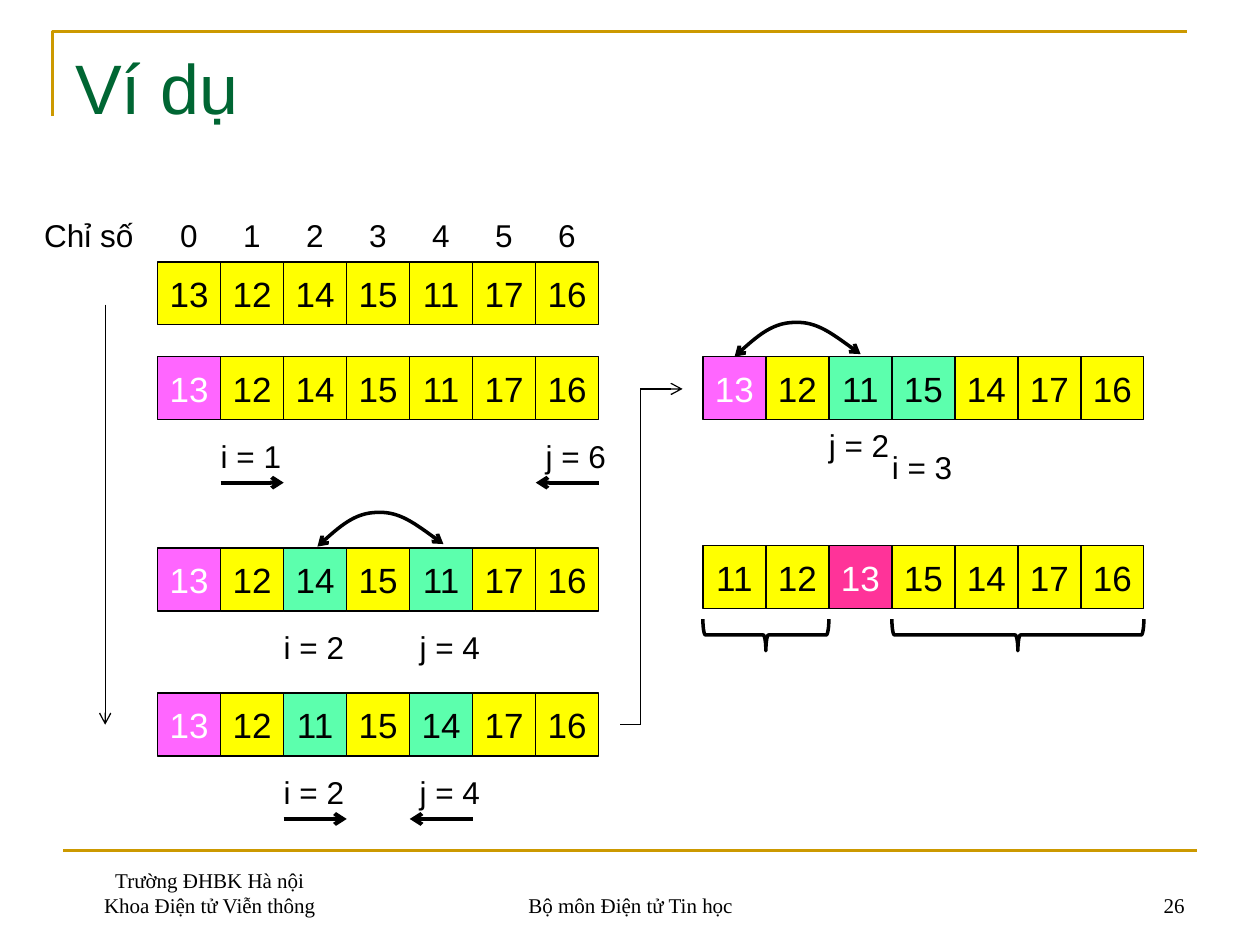
from lxml.etree import SubElement
from pptx import Presentation
from pptx.dml.color import RGBColor
from pptx.enum.shapes import MSO_CONNECTOR as Conn, MSO_SHAPE as Kind
from pptx.enum.text import MSO_ANCHOR as Anchor, PP_ALIGN as Align
from pptx.oxml.ns import qn
from pptx.util import Cm, Pt

HEX = {"black": "000000", "white": "FFFFFF", "gold": "CC9900", "green": "006633",
       "yellow": "FFFF00", "pink": "FF66FF", "mint": "5CFFAD", "rose": "FF3399"}
CELL = 1.27
LEFT, RIGHT = 3.18, 14.17


def rgb(name):
    return RGBColor.from_string(HEX[name])


def style(frame, size, color="black", font="Arial", align=Align.LEFT):
    for para in frame.paragraphs:
        para.alignment = align
        for run in para.runs:
            run.font.size = Pt(size)
            run.font.name = font
            run.font.color.rgb = rgb(color)


def write(slide, text, x, y, w, h=1.02, size=18, inset=0.25, anchor=Anchor.TOP, **look):
    frame = slide.shapes.add_textbox(Cm(x), Cm(y), Cm(w), Cm(h)).text_frame
    frame.word_wrap = True
    frame.margin_left = frame.margin_right = Cm(inset)
    frame.vertical_anchor = anchor
    frame.text = text
    style(frame, size, **look)


def ink(shape, width, color="black", ends=()):
    """Set the line; ends may hold headEnd and tailEnd."""
    shape.line.color.rgb = rgb(color)
    shape.line.width = Pt(width)
    for end in ends:
        SubElement(shape.line._get_or_add_ln(), qn(f"a:{end}"), type="arrow")


def rule(slide, start, stop, width=0.75, color="black", ends=()):
    line = slide.shapes.add_connector(Conn.STRAIGHT, *map(Cm, start + stop))
    ink(line, width, color, ends)
    SubElement(line._element.spPr, qn("a:effectLst"))


def trace(slide, points):
    """Open outline through the points."""
    first, *rest = [(Cm(x), Cm(y)) for x, y in points]
    pen = slide.shapes.build_freeform(*first)
    pen.add_line_segments(rest, close=False)
    shape = pen.convert_to_shape()
    shape.fill.background()
    shape.shadow.inherit = False
    return shape


def swap(slide, x, y):
    """Double-headed arc from one cell to another."""
    steps = [(0, 0), (0.38, -0.36), (0.79, -0.69), (1.22, -0.69),
             (1.65, -0.71), (2.08, -0.38), (2.54, -0.05)]
    arc = trace(slide, [(x + dx, y + dy) for dx, dy in steps])
    # Each three line segments become one Bezier segment
    track = arc._element.spPr.find(".//" + qn("a:path"))
    lines = track.findall(qn("a:lnTo"))
    for k in range(0, len(lines), 3):
        curve = SubElement(track, qn("a:cubicBezTo"))
        for line in lines[k:k + 3]:
            curve.append(line[0])
            track.remove(line)
    ink(arc, 2, ends=("headEnd", "tailEnd"))


def brace(slide, x, y, cells):
    """Brace below a run of cells, pointing down."""
    thick, span = 0.64, cells * CELL
    shape = slide.shapes.add_shape(
        Kind.LEFT_BRACE, Cm(x + (span - thick) / 2), Cm(y + (thick - span) / 2),
        Cm(thick), Cm(span))
    shape.rotation = 270
    shape.fill.background()
    shape.shadow.inherit = False
    ink(shape, 2)


def row(slide, x, y, values, fills=None, notes=(), moves=()):
    """Array cells, index notes (text, dx, dy) and moves (from cell, to cell)."""
    for k, value in enumerate(values):
        fill = (fills or {}).get(k, "yellow")
        cell = slide.shapes.add_shape(Kind.RECTANGLE, Cm(x + k * CELL), Cm(y),
                                      Cm(CELL), Cm(CELL))
        cell.fill.solid()
        cell.fill.fore_color.rgb = rgb(fill)
        cell.shadow.inherit = False
        ink(cell, 0.75)
        frame = cell.text_frame
        frame.word_wrap = False
        frame.vertical_anchor = Anchor.MIDDLE
        frame.text = str(value)
        style(frame, 20, "white" if fill in ("pink", "rose") else "black",
              align=Align.CENTER)
    for text, dx, dy in notes:
        write(slide, text, x + dx, y + dy, 1.7, inset=0)
    for a, b in moves:
        rule(slide, (x + a * CELL, y + 2.54), (x + b * CELL, y + 2.54), 2.25,
             ends=("tailEnd",))


def header(slide, x, y):
    ink(trace(slide, [(x, y + 1.7), (x, y), (x + 22.86, y)]), 1.5, "gold")
    title = slide.shapes.title
    title.left, title.top, title.width, title.height = map(
        Cm, (x + 0.2, y + 0.13, 22.86, 3.18))
    title.text_frame.text = "Ví dụ"
    title.text_frame.vertical_anchor = Anchor.TOP
    style(title.text_frame, 40, "green")


def footer(slide, x, y):
    rule(slide, (x, y), (x + 22.86, y), 1.5, "gold")
    for text, dx, w, align in (
            ("Trường ĐHBK Hà nội\nKhoa Điện tử Viễn thông", 0, 5.92, Align.CENTER),
            ("Bộ môn Điện tử Tin học", 7.42, 8.05, Align.CENTER),
            ("26", 16.94, 5.92, Align.RIGHT)):
        write(slide, text, x + dx, y + 0.21, w, 1.27, 12, anchor=Anchor.BOTTOM,
              font="Times New Roman", align=align)


def first(slide, x, y):
    """Left column: index line and the first four states."""
    write(slide, "Chỉ số", x - 2.54, y - 1.04, 2.54)
    for k in range(7):
        write(slide, str(k), x + 0.2 + k * CELL, y - 1.04, 0.85)
    start = [13, 12, 14, 15, 11, 17, 16]
    marks = {0: "pink", 2: "mint", 4: "mint"}
    notes = [("i = 2", 2.54, 1.48), ("j = 4", 5.28, 1.48)]
    row(slide, x, y, start)
    row(slide, x, y + 1.91, start, {0: "pink"},
        [("i = 1", 1.27, 1.49), ("j = 6", 7.82, 1.49)], [(1, 2), (7, 6)])
    row(slide, x, y + 5.77, start, marks, notes)
    swap(slide, x + 3.22, y + 5.74)
    row(slide, x, y + 8.69, [13, 12, 11, 15, 14, 17, 16], marks, notes,
        [(2, 3), (5, 4)])


def last(slide, x, y):
    """Right column: pivot swap and the split array."""
    row(slide, x, y, [13, 12, 11, 15, 14, 17, 16],
        {0: "pink", 2: "mint", 3: "mint"},
        [("j = 2", 2.54, 1.27), ("i = 3", 3.81, 1.72)])
    swap(slide, x + 0.64, y)
    row(slide, x, y + 3.81, [11, 12, 13, 15, 14, 17, 16], {2: "rose"})
    brace(slide, x, y + 5.29, 2)
    brace(slide, x + 3 * CELL, y + 5.29, 4)


def flow(slide):
    """Thin arrows giving the reading order."""
    rule(slide, (2.12, 6.14), (2.12, 14.61), ends=("tailEnd",))
    rule(slide, (12.5, 14.61), (12.91, 14.61))
    rule(slide, (12.91, 14.61), (12.91, 7.84))
    rule(slide, (12.91, 7.84), (13.76, 7.84), ends=("tailEnd",))


def main():
    deck = Presentation()
    deck.slide_width, deck.slide_height = Cm(25.4), Cm(19.05)
    slide = deck.slides.add_slide(deck.slide_layouts[5])
    header(slide, 1.06, 0.64)
    footer(slide, 1.27, 17.15)
    first(slide, LEFT, 5.28)
    last(slide, RIGHT, 7.19)
    flow(slide)
    deck.save("out.pptx")


if __name__ == "__main__":
    main()
